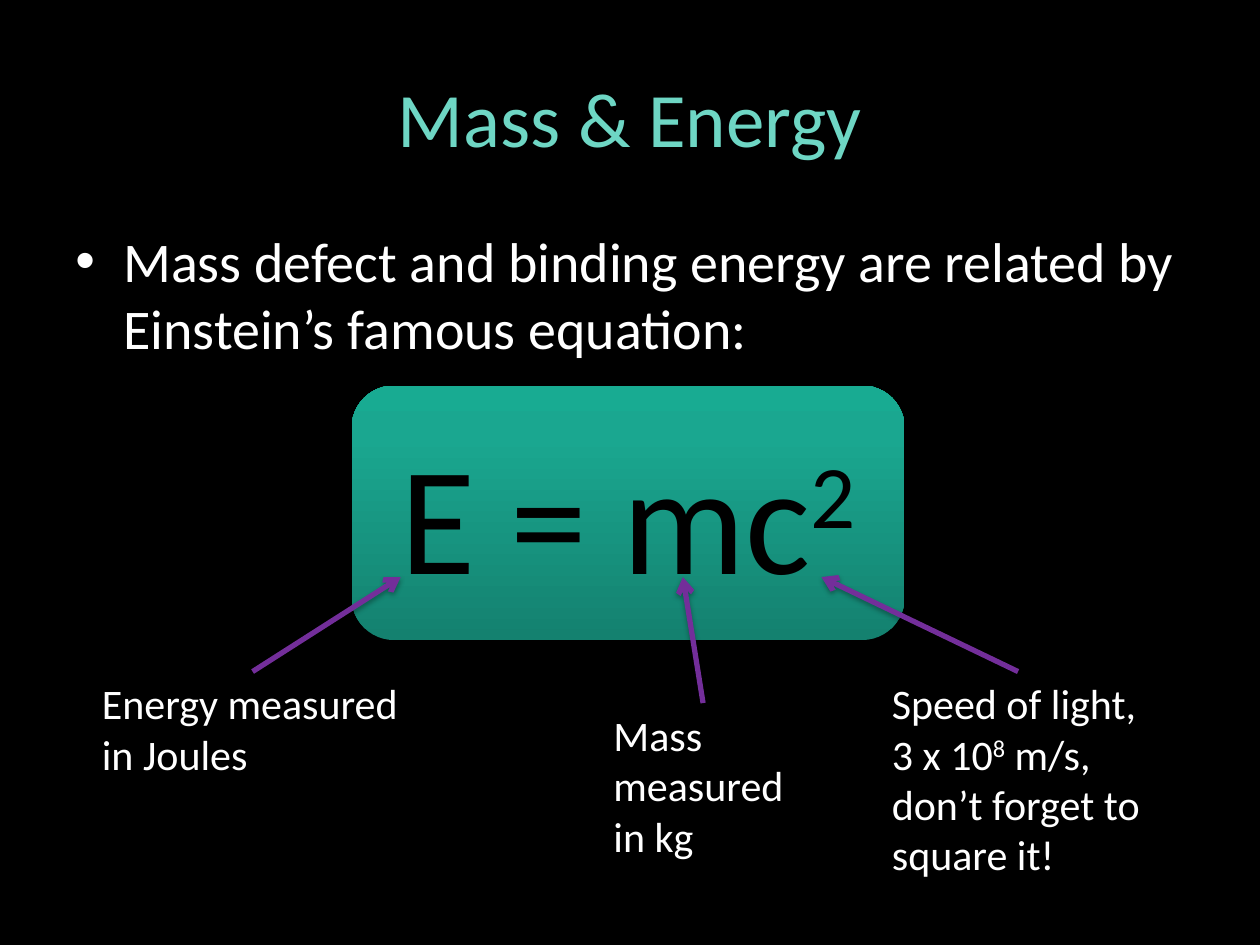
from lxml import etree
from pptx import Presentation
from pptx import util as u
from pptx.dml.color import RGBColor
from pptx.enum import shapes, text
from pptx.oxml import ns

COLORS = {
    "background": "000000",
    "title": "6ED6C4",
    "body": "FFFFFF",
    "equation": "000000",
    "arrow": "732E9A",
    "shadow": "000000",
}
BOX_GRADIENT = [(0, "14816F"), (80, "1AA790"), (100, "18AB92")]
FONT = "Calibri"
I = u.Inches


def rgb(name):
    return RGBColor.from_string(COLORS[name])


def sub(parent, tag, **attrs):
    return etree.SubElement(parent, ns.qn(tag), {k: str(v) for k, v in attrs.items()})


def write(s, runs, size, color, align=text.PP_ALIGN.LEFT,
          anchor=text.MSO_ANCHOR.TOP, bullet=False):
    """Fill s with one paragraph; runs are (words, is_superscript) pairs."""
    tf = s.text_frame
    tf.word_wrap = True
    tf.vertical_anchor = anchor
    p = tf.paragraphs[0]
    p.alignment = align
    if bullet:
        pPr = p._p.get_or_add_pPr()
        pPr.set("marL", str(I(0.38)))
        pPr.set("indent", str(-I(0.38)))
        sub(pPr, "a:buFont", typeface="Arial")
        sub(pPr, "a:buChar", char="•")
    for words, raised in runs:
        r = p.add_run()
        r.text = words
        r.font.name = FONT
        r.font.size = u.Pt(size)
        r.font.color.rgb = rgb(color)
        if raised:
            r._r.get_or_add_rPr().set("baseline", "30000")


def add_shadow(s):
    effects = sub(s._element.spPr, "a:effectLst")
    shadow = sub(effects, "a:outerShdw", blurRad=u.Pt(3.1), dist=u.Pt(1.8),
                 dir=90 * 60000, rotWithShape=0)
    color = sub(shadow, "a:srgbClr", val=COLORS["shadow"])
    sub(color, "a:alpha", val=35000)


def add_title(slide, box):
    s = slide.shapes.title
    s.left, s.top, s.width, s.height = map(I, box)
    write(s, [("Mass & Energy", False)], 44, "title",
          align=text.PP_ALIGN.CENTER, anchor=text.MSO_ANCHOR.MIDDLE)


def add_statement(slide, box):
    s = slide.shapes.add_textbox(*map(I, box))
    write(s, [("Mass defect and binding energy are related by "
               "Einstein’s famous equation:", False)], 32, "body", bullet=True)


def add_equation(slide, box):
    s = slide.shapes.add_shape(shapes.MSO_SHAPE.ROUNDED_RECTANGLE, *map(I, box))
    s.fill.gradient()
    s.fill.gradient_angle = 90
    stops = s._element.spPr.find(".//" + ns.qn("a:gsLst"))
    for stop in list(stops):
        stops.remove(stop)
    for position, color in BOX_GRADIENT:
        sub(sub(stops, "a:gs", pos=position * 1000), "a:srgbClr", val=color)
    s.line.fill.background()
    add_shadow(s)
    write(s, [("E = mc", False), ("2", True)], 88, "equation",
          align=text.PP_ALIGN.CENTER, anchor=text.MSO_ANCHOR.MIDDLE)


def add_label(slide, box, runs, target):
    """Place a label and an arrow from its top middle to the target point."""
    s = slide.shapes.add_textbox(*map(I, box))
    write(s, runs, 24, "body")
    left, top, width, _ = box
    arrow = slide.shapes.add_connector(
        shapes.MSO_CONNECTOR.STRAIGHT, I(left + width / 2), I(top), *map(I, target))
    arrow.begin_connect(s, 0)
    arrow.line.color.rgb = rgb("arrow")
    arrow.line.width = u.Pt(3)
    sub(arrow.line._get_or_add_ln(), "a:tailEnd", type="arrow")
    add_shadow(arrow)


def main():
    prs = Presentation()
    prs.slide_width, prs.slide_height = I(10), I(7.5)
    slide = prs.slides.add_slide(prs.slide_layouts[5])
    slide.background.fill.solid()
    slide.background.fill.fore_color.rgb = rgb("background")

    # Heading and equation
    add_title(slide, (0.5, 0.3, 9, 1.25))
    add_statement(slide, (0.5, 1.75, 9, 1.31))
    add_equation(slide, (2.79, 3.06, 4.39, 2.02))

    # Meaning of each symbol
    arrow_y = 4.58
    labels = [
        ((0.71, 5.33, 2.59, 0.91), [("Energy measured in Joules", False)], 3.18),
        ((4.77, 5.58, 1.62, 1.31), [("Mass measured in kg", False)], 5.42),
        ((6.98, 5.33, 2.2, 1.72),
         [("Speed of light, 3 x 10", False), ("8", True),
          (" m/s, don’t forget to square it!", False)], 6.52),
    ]
    for box, runs, arrow_x in labels:
        add_label(slide, box, runs, (arrow_x, arrow_y))

    prs.save("out.pptx")


if __name__ == "__main__":
    main()
